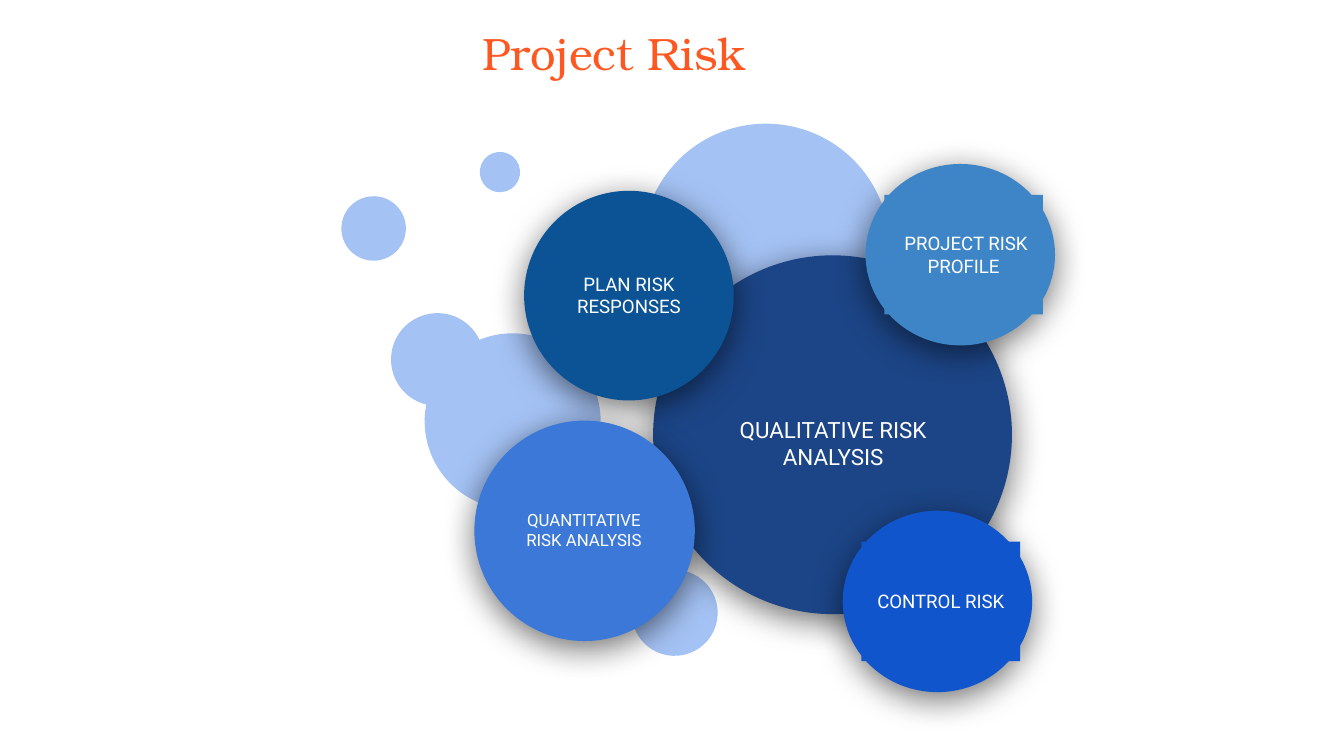
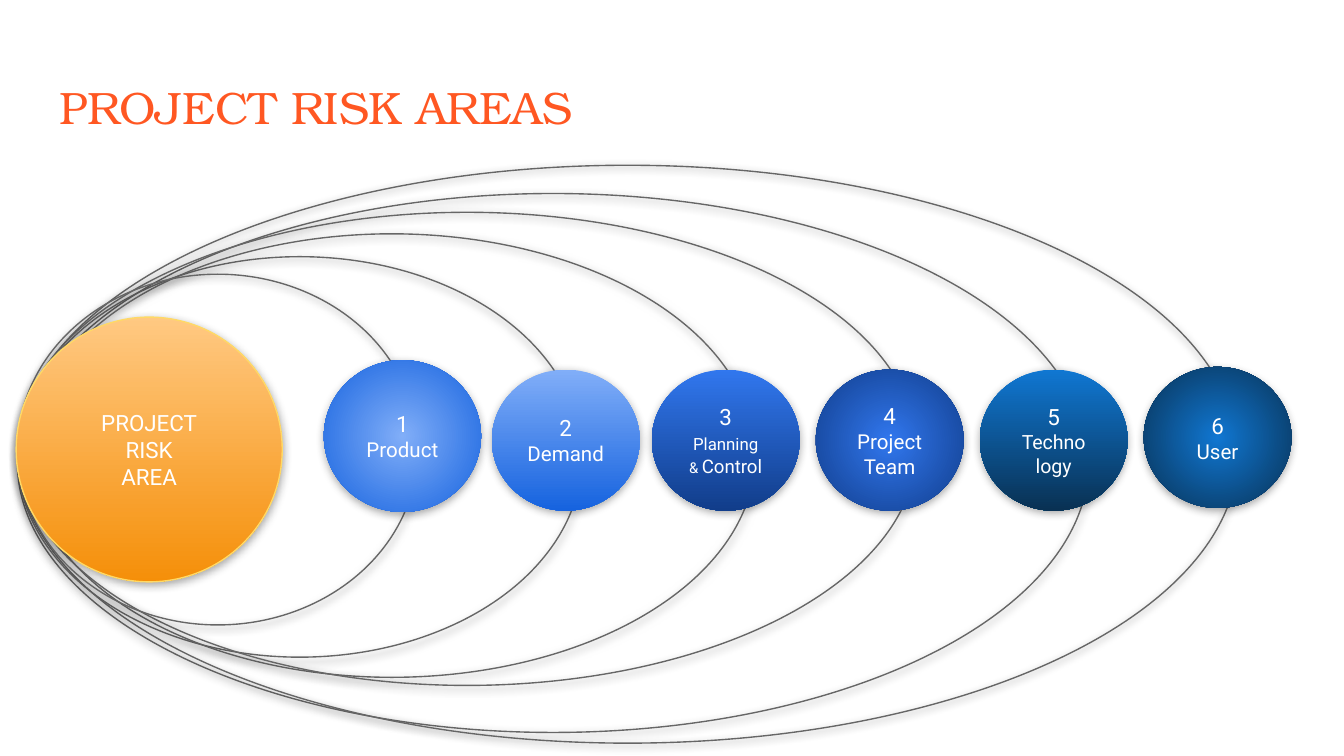
from lxml import etree
from pptx import Presentation
from pptx.dml.color import RGBColor
from pptx.enum.shapes import MSO_SHAPE
from pptx.enum.text import MSO_ANCHOR, MSO_AUTO_SIZE, PP_ALIGN
from pptx.oxml.ns import qn
from pptx.util import Inches, Pt

OVAL, RING, RECTANGLE = MSO_SHAPE.OVAL, MSO_SHAPE.FLOWCHART_CONNECTOR, MSO_SHAPE.RECTANGLE
CENTER, LEFT = PP_ALIGN.CENTER, PP_ALIGN.LEFT
MIDDLE, TOP = MSO_ANCHOR.MIDDLE, MSO_ANCHOR.TOP
NO_AUTOFIT = MSO_AUTO_SIZE.NONE

CELL = Inches(0.1)
COLUMNS, ROWS = 100, 56.25
TITLE_ONLY = 5

TITLE_FONT, BODY_FONT = "TeX Gyre Bonum", "Roboto"
ORANGE, WHITE, PALE_BLUE, GREY = "FF5722", "FFFFFF", "A4C2F4", "666666"
SKY = ("81AEF8", "1663DF")
ROYAL = ("3177EE", "113D8A")
NAVY = ("1077D2", "093153")
AMBER = ("FFC982", "F58F09")

DEEP_SHADOW = ("000000", 55, 18, 4)
RING_SHADOW = ("000000", 50, 4.5, 1.5)
BALL_SHADOW = ("212121", 38, 4.5, 1.5)

BACKDROP = [
    (47, 42.4, 6.4), (25.4, 14.6, 4.8), (31.6, 24.8, 13.1),
    (47.8, 9.2, 18.4), (29.1, 23.3, 6.9), (35.7, 11.3, 3),
]
RISK_STEPS = [
    ("QUALITATIVE RISK ANALYSIS", 12, "1C4587", (48.6, 19, 26.7, 26.7), (51.8, 26.6, 20.4, 12.7)),
    ("PLAN RISK RESPONSES", 10, "0B5394", (39, 14.2, 15.6, 15.6), (41.5, 16.8, 10.6, 10.3)),
    ("QUANTITATIVE RISK ANALYSIS", 9, "3C78D8", (35.3, 31.3, 16.4, 16.4), (37.6, 34.3, 11.7, 10.3)),
    (" PROJECT RISK PROFILE", 10, "3D85C6", (64.4, 12.2, 14.1, 13.5), (65.8, 14.5, 11.8, 8.9)),
    ("CONTROL RISK", 10, "1155CC", (62.7, 38, 14.1, 13.5), (64.1, 40.3, 11.8, 8.9)),
]
ORBITS = [
    (1.3, 14.4, 79.7, 40.1), (1.3, 12.3, 90.8, 43), (1.3, 19.1, 42, 29.8),
    (2.1, 17.4, 54.1, 33), (1.3, 15.8, 66.9, 35.2), (1.3, 20.4, 29.8, 26.1),
]
AREAS = [
    ([[("Product", 11)]], SKY, True, (24.1, 26.8, 11.7, 11.3)),
    ([[("Demand", 11)]], SKY, False, (36.6, 27.5, 11, 10.5)),
    ([[("Planning", 9), (" ", 11), ("&", 8), (" ", 7), ("Control", 10)]],
     ROYAL, False, (48.5, 27.5, 11, 10.5)),
    ([[("Project Team", 11)]], ROYAL, True, (60.7, 27.5, 11, 10.5)),
    ([[("Techno", 10.5)], [("logy", 10.5)]], NAVY, False, (72.9, 27.5, 11, 10.5)),
    ([[("User", 11)]], NAVY, True, (85.1, 27.3, 11, 10.5)),
]


def color(hex_code):
    return RGBColor.from_string(hex_code)


def cells(*counts):
    return [round(count * CELL) for count in counts]


def style_run(run, font, size, hex_code):
    run.font.name = font
    run.font.size = Pt(size)
    run.font.color.rgb = color(hex_code)


def set_frame(frame, anchor):
    frame.word_wrap = True
    frame.auto_size = NO_AUTOFIT
    frame.vertical_anchor = anchor
    frame.margin_left = frame.margin_right = CELL
    frame.margin_top = frame.margin_bottom = CELL


def write_lines(shape, lines):
    frame = shape.text_frame
    set_frame(frame, MIDDLE)
    for index, parts in enumerate(lines):
        paragraph = frame.paragraphs[0] if index == 0 else frame.add_paragraph()
        paragraph.alignment = CENTER
        for words, size in parts:
            run = paragraph.add_run()
            run.text = words
            style_run(run, BODY_FONT, size, WHITE)


def add_title(slide, words, box):
    title = slide.shapes.title
    title.left, title.top, title.width, title.height = cells(*box)
    frame = title.text_frame
    frame.text = words
    set_frame(frame, TOP)
    paragraph = frame.paragraphs[0]
    paragraph.alignment = LEFT
    style_run(paragraph.runs[0], TITLE_FONT, 24.3, ORANGE)


def cast_shadow(shape, hex_code, opacity, blur, distance):
    effects = shape._element.spPr.find(qn("a:effectLst"))
    outer = etree.SubElement(
        effects, qn("a:outerShdw"), blurRad=str(Pt(blur)), dist=str(Pt(distance)),
        dir="5400000", algn="bl", rotWithShape="0")
    tint = etree.SubElement(outer, qn("a:srgbClr"), val=hex_code)
    etree.SubElement(tint, qn("a:alpha"), val=str(opacity * 1000))


def add_figure(shapes, kind, box, fill=None, line=None, shadow=None):
    figure = shapes.add_shape(kind, *cells(*box))
    figure.shadow.inherit = False
    if fill:
        figure.fill.solid()
        figure.fill.fore_color.rgb = color(fill)
    else:
        figure.fill.background()
    if line:
        figure.line.color.rgb = color(line)
        figure.line.width = Pt(0.75)
    else:
        figure.line.fill.background()
    if shadow:
        cast_shadow(figure, *shadow)
    return figure


def shade(shape, tones, radial):
    shape.fill.gradient()
    shape.fill.gradient_angle = 270
    for stop, tone, position in zip(shape.fill.gradient_stops, tones, (0, 1)):
        stop.color.rgb = color(tone)
        stop.position = position
    if radial:
        gradient = shape._element.spPr.find(qn("a:gradFill"))
        gradient.remove(gradient.find(qn("a:lin")))
        circle = etree.SubElement(gradient, qn("a:path"), {"path": "circle"})
        etree.SubElement(circle, qn("a:fillToRect"), dict.fromkeys("ltrb", "50000"))


def add_ball(slide, lines, tones, radial, box, line=None):
    ball = add_figure(slide.shapes, OVAL, box, line=line, shadow=BALL_SHADOW)
    shade(ball, tones, radial)
    write_lines(ball, lines)


def add_backdrop(slide):
    group = slide.shapes.add_group_shape()
    for left, top, size in BACKDROP:
        bubble = add_figure(group.shapes, OVAL, (left, top, size, size), PALE_BLUE)
        bubble.rotation = 250


def add_risk_step(slide, words, size, fill, disc_box, label_box):
    group = slide.shapes.add_group_shape()
    add_figure(group.shapes, OVAL, disc_box, fill, shadow=DEEP_SHADOW)
    label = add_figure(group.shapes, RECTANGLE, label_box, fill)
    write_lines(label, [[(words, size)]])


def build_risk_slide(slide):
    add_title(slide, "Project Risk", (34.9, 0.9, 26.4, 6.3))
    add_backdrop(slide)
    for step in RISK_STEPS:
        add_risk_step(slide, *step)


def build_areas_slide(slide):
    add_title(slide, "PROJECT RISK AREAS", (3.4, 4.9, 93.2, 6.3))
    for box in ORBITS:
        add_figure(slide.shapes, RING, box, line=GREY, shadow=RING_SHADOW)
    hub_lines = [[(word, 12)] for word in ("PROJECT", "RISK", "AREA")]
    add_ball(slide, hub_lines, AMBER, False, (1.2, 23.6, 19.8, 19.7), "FFD966")
    for number, (name_lines, tones, radial, box) in enumerate(AREAS, 1):
        add_ball(slide, [[(str(number), 12)]] + name_lines, tones, radial, box)


def main():
    deck = Presentation()
    deck.slide_width, deck.slide_height = cells(COLUMNS, ROWS)
    for build in (build_risk_slide, build_areas_slide):
        build(deck.slides.add_slide(deck.slide_layouts[TITLE_ONLY]))
    deck.save("out.pptx")


if __name__ == "__main__":
    main()
